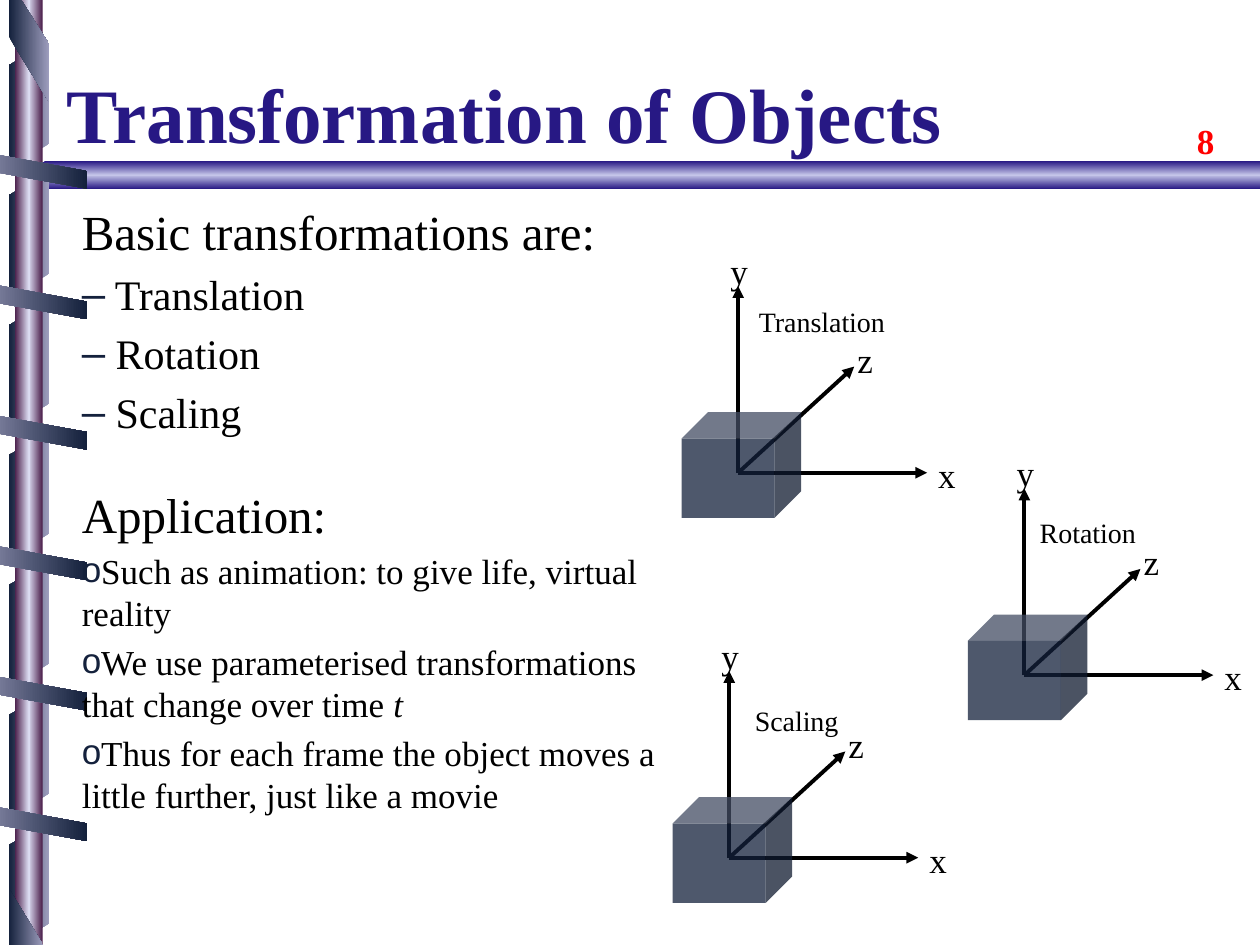
from lxml import etree
from pptx import Presentation, util as u
from pptx.dml.color import RGBColor
from pptx.enum import shapes, text
from pptx.oxml import parse_xml
from pptx.oxml.ns import nsdecls, qn

FONT = "Times New Roman"
BLACK, NAVY, LAVENDER, INDIGO = "000000", "14213C", "9D9DBD", "271884"
PALE, PLUM, RED = "DBDBF1", "491D49", "FF0000"
SHAPE = shapes.MSO_SHAPE


def color(value):
    return RGBColor.from_string(value)


def cm(*lengths):
    return [u.Cm(length) for length in lengths]


def format_span(span, size, hue=BLACK, bold=False):
    span.font.name, span.font.size, span.font.bold = FONT, u.Pt(size), bold
    span.font.color.rgb = color(hue)


def set_gradient(shape, hues, angle=None):
    """Spread the hues evenly along an angle, or outwards from the centre."""
    stops = "".join(
        f'<a:gs pos="{round(100000 * i / (len(hues) - 1))}"><a:srgbClr val="{hue}"/></a:gs>'
        for i, hue in enumerate(hues))
    if angle is None:
        course = ('<a:path path="circle"><a:fillToRect l="50000" t="50000" '
                  'r="50000" b="50000"/></a:path>')
    else:
        course = f'<a:lin ang="{angle * 60000}" scaled="0"/>'
    gradient = parse_xml(f'<a:gradFill {nsdecls("a")} rotWithShape="1">'
                         f'<a:gsLst>{stops}</a:gsLst>{course}</a:gradFill>')
    shape.fill.background()
    old = shape._element.spPr.find(qn("a:noFill"))
    old.getparent().replace(old, gradient)


def clear_style(shape):
    shape.shadow.inherit = False
    shape.line.fill.background()


def add_preset(page, kind, box, hues, angle=None, adjust=None, flip=False):
    shape = page.shapes.add_shape(kind, *cm(*box))
    clear_style(shape)
    set_gradient(shape, hues, angle)
    if adjust is not None:
        shape.adjustments[0] = adjust
    if flip:
        shape._element.spPr.find(qn("a:xfrm")).set("flipH", "1")
    return shape


def add_band(page, center, size, rotation, flip=False):
    (x, y), (width, height) = center, size
    box = (x - width / 2, y - height / 2, width, height)
    band = add_preset(page, SHAPE.PARALLELOGRAM, box, (LAVENDER, NAVY), 90, 0.56, flip)
    band.rotation = rotation


def add_ribbon_end(page, points):
    first, *rest = [cm(*point) for point in points]
    builder = page.shapes.build_freeform(*first, scale=1.0)
    builder.add_line_segments(rest, close=True)
    shape = builder.convert_to_shape()
    clear_style(shape)
    set_gradient(shape, (NAVY, LAVENDER), 0)


def add_ribbon_pole(page, left, height):
    """Pole down the left side with a ribbon wound around it."""
    middle = left + 0.4
    for turn in range(7):
        add_band(page, (middle, 2.11 + 2.62 * turn), (2.49, 0.81), 90, flip=True)
    add_preset(page, SHAPE.RECTANGLE, (left + 0.12, 0, 0.56, height),
               (PLUM, PALE, PLUM), 0)
    for turn in range(6):
        add_band(page, (middle - 0.07, 3.4 + 2.63 * turn), (0.81, 2.49), 270)
    right = left + 0.81
    add_ribbon_end(page, [(left, 0), (left, 0.74), (right, 2.06),
                          (right, 0.89), (left + 0.25, 0)])
    add_ribbon_end(page, [(left + 0.69, height), (left, height - 1.14), (left, height)])


def add_title_bar(page, left, top, width, height):
    add_preset(page, SHAPE.PENTAGON, (left, top, width, height),
               (INDIGO, "C5C5E9", INDIGO), 90, 0.77, flip=True)
    add_preset(page, SHAPE.OVAL, (left - 0.12, top - 0.02, 0.61, 0.56), ("FEFFFF", PALE))


def add_label(page, box, words, size, hue=BLACK, bold=False, centered=True):
    label = page.shapes.add_textbox(*cm(*box))
    label.text_frame.word_wrap = True
    label.text_frame.text = words
    para = label.text_frame.paragraphs[0]
    if centered:
        para.alignment, para.line_spacing = text.PP_ALIGN.CENTER, 0.85
    format_span(para.runs[0], size, hue, bold)


def add_title(page, box, words):
    title = page.shapes.title
    title.left, title.top, title.width, title.height = cm(*box)
    frame = title.text_frame
    frame.text = words
    frame.word_wrap, frame.auto_size = True, text.MSO_AUTO_SIZE.NONE
    frame.vertical_anchor = text.MSO_ANCHOR.BOTTOM
    frame.paragraphs[0].alignment = text.PP_ALIGN.LEFT
    format_span(frame.paragraphs[0].runs[0], 44, INDIGO, True)


def add_bullet(para, mark, indent):
    props = para._p.get_or_add_pPr()
    props.set("marL", "0")
    props.set("indent", str(-u.Cm(indent)))
    hue = etree.SubElement(props, qn("a:buClr"))
    etree.SubElement(hue, qn("a:srgbClr"), val=NAVY)
    etree.SubElement(props, qn("a:buFont"), typeface="Arial")
    etree.SubElement(props, qn("a:buChar"), char=mark)


def add_text_shadow(span):
    fill = span.font._element.find(qn("a:solidFill"))
    fill.addnext(parse_xml(
        f'<a:effectLst {nsdecls("a")}><a:outerShdw blurRad="38100" dist="38100" '
        'dir="2700000" algn="tl"><a:srgbClr val="C0C0C0"/></a:outerShdw></a:effectLst>'))


def add_body(page, box):
    dash, circle = ("–", 0.43), ("o", 0.36)
    lines = [
        (("Basic transformations are:",), 28, 0, None),
        ((" Translation",), 24, 4.8, dash),
        ((" Rotation",), 24, 4.8, dash),
        ((" Scaling",), 24, 4.8, dash),
        (("Application:",), 28, 27, None),
        (("Such as animation: to give life, virtual reality",), 20, 4, circle),
        (("We use parameterised transformations that change over time ", "t"), 20, 4, circle),
        (("Thus for each frame the object moves a little further, just like a movie",),
         20, 4, circle),
    ]
    frame = page.shapes.add_textbox(*cm(*box)).text_frame
    frame.word_wrap = True
    for index, (parts, size, before, bullet) in enumerate(lines):
        para = frame.add_paragraph() if index else frame.paragraphs[0]
        if before:
            para.space_before = u.Pt(before)
        if bullet:
            add_bullet(para, *bullet)
        for part in parts:
            span = para.add_run()
            span.text = part
            format_span(span, size)
            span.font.italic = part == "t"
            add_text_shadow(span)


def add_arrow(page, start, end):
    arrow = page.shapes.add_connector(shapes.MSO_CONNECTOR.STRAIGHT, *cm(*start, *end))
    arrow.line.color.rgb, arrow.line.width = color(BLACK), u.Pt(2.25)
    etree.SubElement(arrow.line._get_or_add_ln(), qn("a:tailEnd"), type="triangle")
    etree.SubElement(arrow._element.spPr, qn("a:effectLst"))


def add_axes_figure(page, left, top, caption, caption_offset):
    """Three labelled axes with a translucent cube at their origin."""
    def at(x, y):
        return left + x, top + y

    axes = {"y": ((1.14, 0.74), (0.64, 0)),
            "x": ((4.95, 4.5), (4.83, 4.11)),
            "z": ((3.48, 2.36), (3.18, 1.8))}
    for name, (tip, corner) in axes.items():
        add_arrow(page, at(1.14, 4.5), at(*tip))
        add_label(page, (*at(*corner), 1.04, 0.97), name, 20)
    cube = page.shapes.add_shape(SHAPE.CUBE, *cm(*at(0, 3.28), 2.41, 2.13))
    clear_style(cube)
    cube.fill.solid()
    cube.fill.fore_color.rgb = color(NAVY)
    hue = cube._element.spPr.find(qn("a:solidFill"))[0]
    etree.SubElement(hue, qn("a:alpha"), val="75000")
    add_label(page, (*at(*caption_offset), 5.56, 0.84), caption, 16)


def main():
    deck = Presentation()
    deck.slide_width, deck.slide_height = cm(25.4, 19.05)
    page = deck.slides.add_slide(deck.slide_layouts[5])
    add_title_bar(page, 0.48, 3.25, 24.92, 0.56)
    add_ribbon_pole(page, 0.18, 19.05)
    add_label(page, (23.88, 2.29, 1.32, 1.09), "8", 20, RED, True, centered=False)
    add_title(page, (1.09, 0.36, 20.68, 2.97), "Transformation of Objects")
    add_body(page, (1.4, 3.94, 12.09, 14.55))
    add_axes_figure(page, 13.74, 5.03, "Translation", (0.05, 1.09))
    add_axes_figure(page, 19.51, 9.11, "Rotation", (-0.36, 1.26))
    add_axes_figure(page, 13.56, 12.79, "Scaling", (-0.28, 1.38))
    deck.save("out.pptx")


if __name__ == "__main__":
    main()
